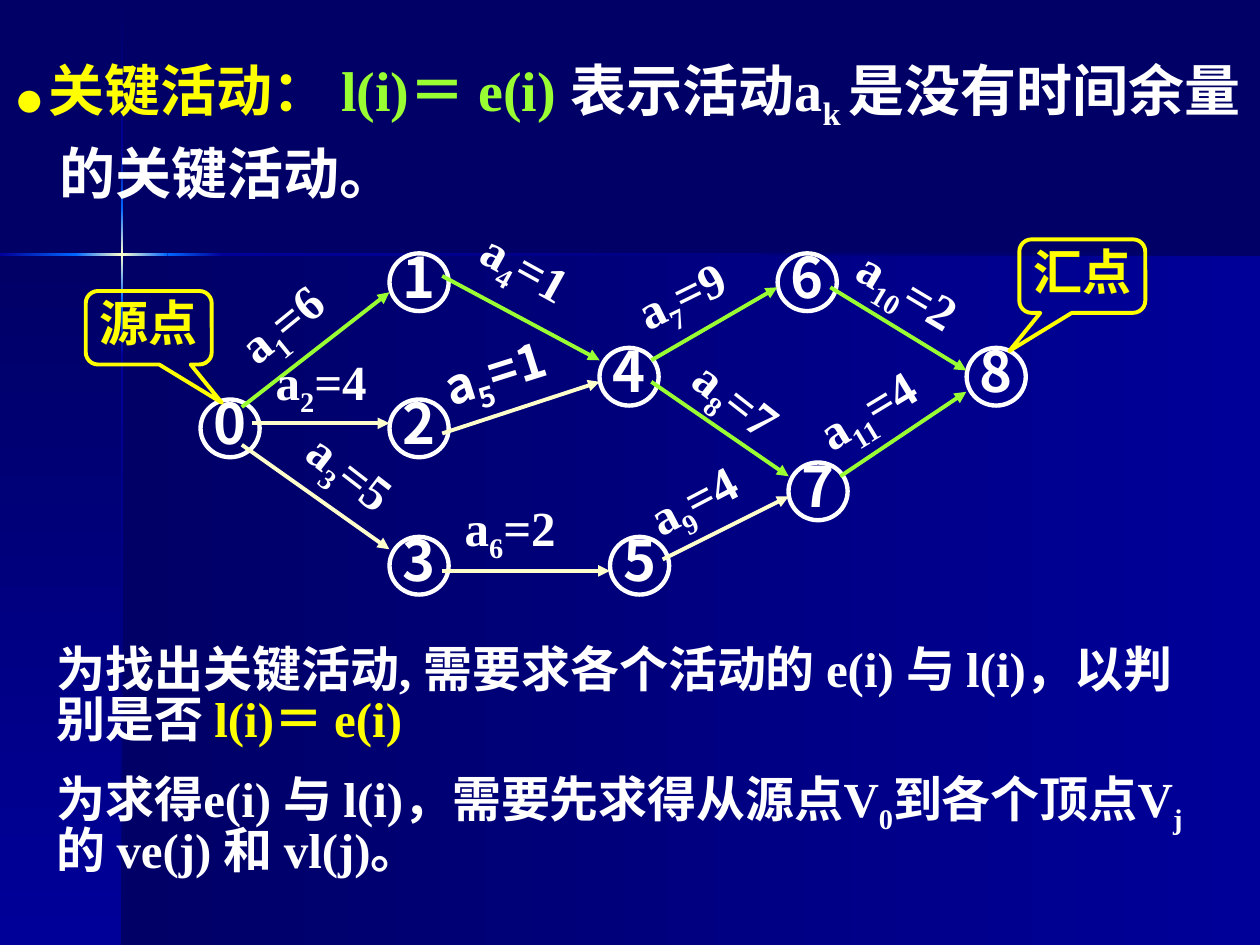
from collections import namedtuple
from copy import deepcopy

from pptx import Presentation
from pptx.dml.color import RGBColor
from pptx.enum.shapes import MSO_CONNECTOR, MSO_SHAPE
from pptx.enum.text import MSO_ANCHOR, PP_ALIGN
from pptx.oxml.ns import qn
from pptx.util import Pt
from lxml import etree

NAVY = RGBColor(0x00, 0x00, 0x66)
BLUE = RGBColor(0x00, 0x00, 0x99)
BRIGHT = RGBColor(0x00, 0x66, 0xFF)
CREAM = RGBColor(0xFF, 0xFF, 0xCC)
WHITE = RGBColor(0xFF, 0xFF, 0xFF)
YELLOW = RGBColor(0xFF, 0xFF, 0x00)
GREEN = RGBColor(0x99, 0xFF, 0x33)
SANS = "Noto Sans CJK SC"
SERIF = "Times New Roman"

NODE_WIDTH, NODE_HEIGHT = 33.8, 33
NODE_CENTERS = [
    (131.5, 244.8), (239.5, 161.3), (239.5, 244.8), (239.5, 323.3), (359.5, 215.3),
    (365.5, 323.3), (461.3, 161.3), (467.5, 280.8), (569.3, 215.3),
]

Activity = namedtuple("Activity", "weight start end color label_left label_top rotation")
ACTIVITIES = [
    Activity(6, (138.2, 232.6), (222.5, 167), GREEN, 125.3, 158.4, -39.1),
    Activity(4, (144, 241.9), (222.5, 241.9), CREAM, 150.5, 197.3, 0),
    Activity(5, (138.2, 254.2), (222.5, 313.9), CREAM, 164.2, 259.9, 37.7),
    Activity(1, (252.7, 157.7), (342.7, 205.9), GREEN, 265.7, 140.4, 28.9),
    Activity(1, (252.7, 247.7), (342.7, 218.2), CREAM, 245.5, 187.9, -17.6),
    Activity(2, (252.7, 326.2), (348.5, 326.2), CREAM, 258.5, 280.8, 0),
    Activity(9, (372.2, 205.9), (444.2, 164.2), GREEN, 354.2, 139.7, -26.2),
    Activity(7, (372.2, 218.2), (450.7, 272.2), GREEN, 384.5, 218.2, 38),
    Activity(4, (378.7, 319.7), (450.7, 283.7), CREAM, 360.7, 256.3, -27.6),
    Activity(2, (474.5, 164.2), (552.2, 211.7), GREEN, 480.2, 151.9, 30.9),
    Activity(4, (480.2, 272.2), (552.2, 223.9), GREEN, 456.5, 205.9, -31.2),
]

# left, top, width, height, gradient angle, colours
BACKDROP = [
    (69.8, 145.4, 650.2, 394.6, 0, (NAVY, BLUE)),
    (0, 145.4, 69.8, 394.6, 270, (NAVY, BLUE)),
    (69.1, 0.7, 1.4, 86.4, 270, (NAVY, BLUE)),
    (69.1, 203, 1.4, 337, 270, (BLUE, NAVY)),
    (127.4, 144.7, 592.6, 1.4, 0, (BLUE, NAVY)),
    (69.1, 171.4, 1.4, 31.6, 270, (BRIGHT, BLUE)),
    (69.1, 87.1, 1.4, 31.7, 270, (BLUE, BRIGHT)),
    (69.1, 118.8, 1.4, 52.6, 270, (BRIGHT, CREAM, BRIGHT)),
    (0, 144.7, 43.6, 1.4, 0, (BLUE, BRIGHT)),
    (95.8, 144.7, 31.6, 1.4, 0, (BRIGHT, BLUE)),
    (43.2, 144.7, 52.6, 1.4, 0, (BRIGHT, CREAM, BRIGHT)),
]


def add_run(paragraph, text, size, color=WHITE, font=SERIF, subscript=False):
    """Add a bold run; East Asian characters always use the sans font."""
    run = paragraph.add_run()
    run.text = text
    run.font.size = Pt(size)
    run.font.bold = True
    run.font.color.rgb = color
    run.font.name = font
    properties = run.font._element
    etree.SubElement(properties, qn("a:ea")).set("typeface", SANS)
    if subscript:
        properties.set("baseline", "-25000")


def add_text_box(slide, left, top, width, height):
    box = slide.shapes.add_textbox(Pt(left), Pt(top), Pt(width), Pt(height))
    box.text_frame.word_wrap = True
    return box


def add_gradient_panel(slide, left, top, width, height, angle, colors):
    panel = slide.shapes.add_shape(
        MSO_SHAPE.RECTANGLE, Pt(left), Pt(top), Pt(width), Pt(height))
    panel.shadow.inherit = False
    panel.line.fill.background()
    panel.fill.gradient()
    panel.fill.gradient_angle = angle
    stop_list = panel.fill._xPr.find(qn("a:gradFill")).find(qn("a:gsLst"))
    while len(stop_list) < len(colors):
        stop_list.append(deepcopy(stop_list[0]))
    for index, (stop, color) in enumerate(zip(panel.fill.gradient_stops, colors)):
        stop.position = index / (len(colors) - 1)
        stop.color.rgb = color


def add_outlined_shape(slide, kind, bounds, text, size, color, line_width):
    shape = slide.shapes.add_shape(kind, *map(Pt, bounds))
    shape.shadow.inherit = False
    shape.fill.background()
    shape.line.color.rgb = color
    shape.line.width = Pt(line_width)
    frame = shape.text_frame
    frame.margin_left = frame.margin_right = frame.margin_top = frame.margin_bottom = 0
    frame.word_wrap = False
    frame.vertical_anchor = MSO_ANCHOR.MIDDLE
    paragraph = frame.paragraphs[0]
    paragraph.alignment = PP_ALIGN.CENTER
    paragraph.line_spacing = 0.8
    add_run(paragraph, text, size, color, SANS)
    return shape


def add_node(slide, number, center_x, center_y):
    bounds = (center_x - NODE_WIDTH / 2, center_y - NODE_HEIGHT / 2, NODE_WIDTH, NODE_HEIGHT)
    add_outlined_shape(slide, MSO_SHAPE.OVAL, bounds, str(number), 32, WHITE, 2.5)


def add_callout(slide, text, left, top, tip_x):
    callout = add_outlined_shape(
        slide, MSO_SHAPE.ROUNDED_RECTANGULAR_CALLOUT, (left, top, 72, 42), text, 28, YELLOW, 2.25)
    callout.adjustments[0] = tip_x
    callout.adjustments[1] = 1.02


def add_arrow(slide, start, end, color):
    arrow = slide.shapes.add_connector(MSO_CONNECTOR.STRAIGHT, *map(Pt, start + end))
    arrow.line.color.rgb = color
    arrow.line.width = Pt(2.25)
    etree.SubElement(arrow.line._get_or_add_ln(), qn("a:tailEnd")).set("type", "triangle")
    etree.SubElement(arrow._element.spPr, qn("a:effectLst"))


def add_activity_label(slide, number, activity):
    width = 84 if number == 1 else 102
    font = SANS if number == 5 else SERIF
    label = add_text_box(slide, activity.label_left, activity.label_top, width, 41)
    label.rotation = activity.rotation
    paragraph = label.text_frame.paragraphs[0]
    add_run(paragraph, "a", 28, font=font)
    add_run(paragraph, str(number), 28, font=font, subscript=True)
    add_run(paragraph, f"={activity.weight}", 28, font=font)


def add_definition(slide):
    box = add_text_box(slide, 0, 23.8, 720, 110)
    paragraph = box.text_frame.paragraphs[0]
    paragraph.line_spacing = 1.1
    properties = paragraph._p.get_or_add_pPr()
    properties.set("marL", str(Pt(27)))
    properties.set("indent", str(Pt(-27)))
    add_run(paragraph, " ● ", 14, YELLOW, SANS)
    add_run(paragraph, "关键活动", 32, YELLOW, SANS)
    add_run(paragraph, "： ", 32, YELLOW)
    add_run(paragraph, "l(i)＝ e(i) ", 32, GREEN)
    add_run(paragraph, "表示活动", 32, font=SANS)
    add_run(paragraph, "a", 32)
    add_run(paragraph, "k ", 32, subscript=True)
    add_run(paragraph, "是没有时间余量的关键活动。", 32, font=SANS)


def add_explanation(slide):
    frame = add_text_box(slide, 25.2, 366.5, 669, 158.4).text_frame
    criterion, method = frame.paragraphs[0], frame.add_paragraph()
    criterion.line_spacing = method.line_spacing = 0.85
    method.space_before = Pt(14)
    add_run(criterion, "为找出关键活动, 需要求各个活动的 e(i) 与 l(i)，以判别是否 ", 28)
    add_run(criterion, "l(i)＝ e(i)", 28, YELLOW)
    add_run(method, "为求得e(i) 与 l(i)，需要先求得从源点V", 28)
    add_run(method, "0", 28, subscript=True)
    add_run(method, "到各个顶点V", 28)
    add_run(method, "j ", 28, subscript=True)
    add_run(method, "的 ve(j) 和 vl(j)。", 28)


def main():
    presentation = Presentation()
    presentation.slide_width, presentation.slide_height = Pt(720), Pt(540)
    slide = presentation.slides.add_slide(presentation.slide_layouts[6])
    slide.background.fill.solid()
    slide.background.fill.fore_color.rgb = NAVY
    for panel in BACKDROP:
        add_gradient_panel(slide, *panel)
    add_definition(slide)
    for number, center in enumerate(NODE_CENTERS):
        add_node(slide, number, *center)
    for number, activity in enumerate(ACTIVITIES, start=1):
        add_arrow(slide, activity.start, activity.end, activity.color)
        add_activity_label(slide, number, activity)
    add_callout(slide, "汇点", 582.5, 136.8, -0.58)
    add_callout(slide, "源点", 49, 166.3, 0.58)
    add_explanation(slide)
    presentation.save("out.pptx")


if __name__ == "__main__":
    main()
